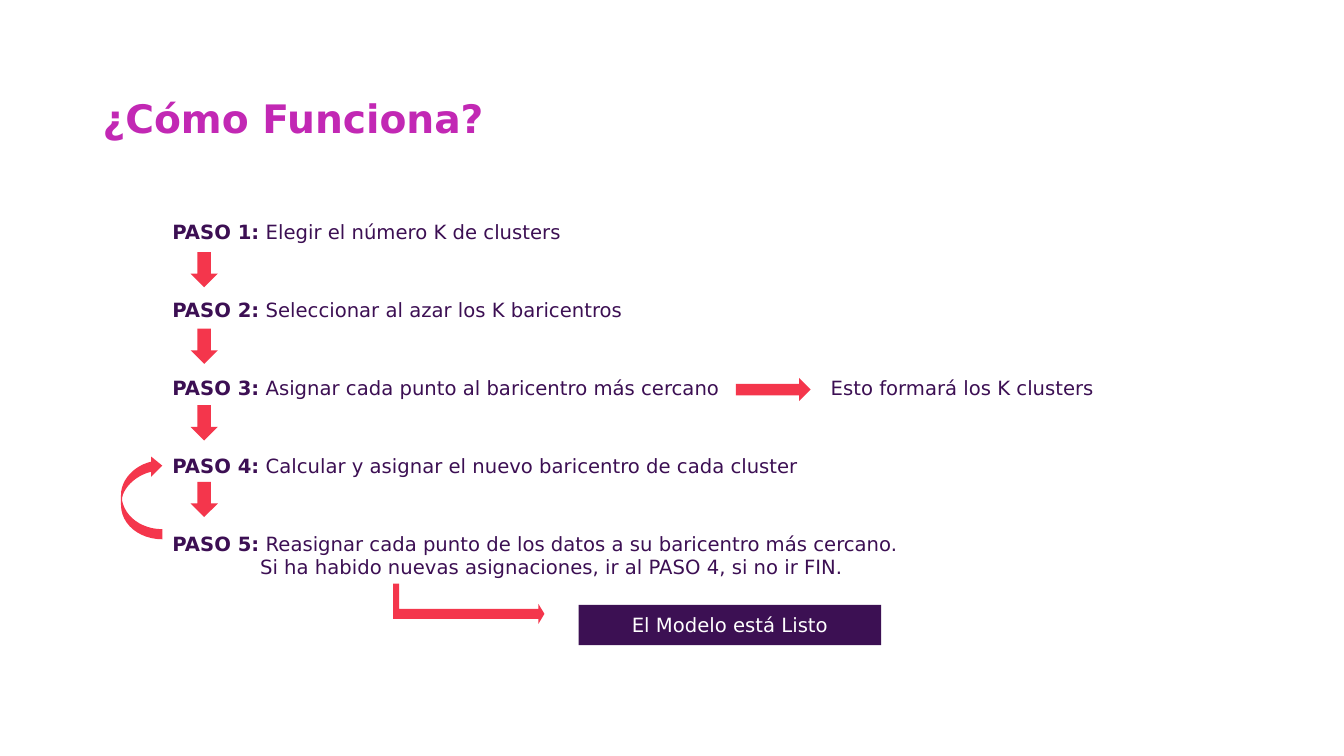
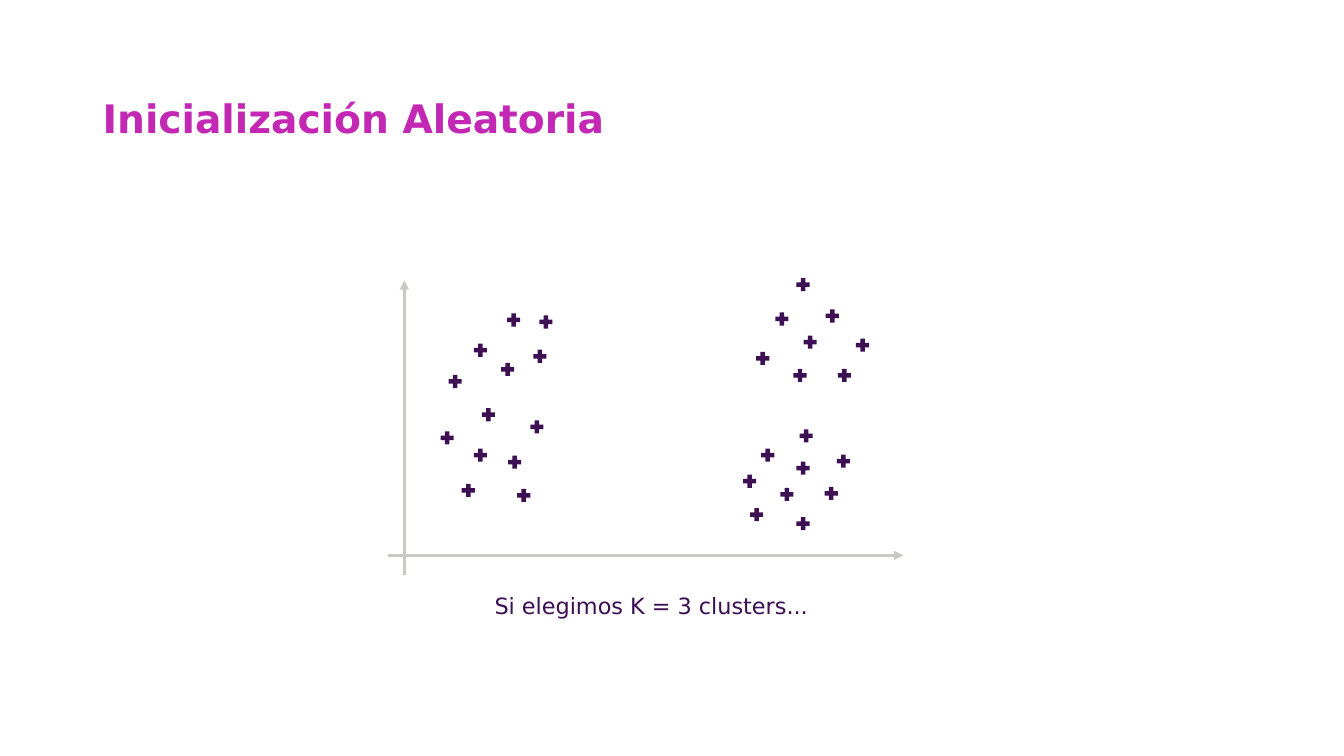
from lxml import etree
from pptx import Presentation
from pptx.dml.color import RGBColor
from pptx.enum.shapes import MSO_CONNECTOR, MSO_SHAPE
from pptx.enum.text import MSO_ANCHOR, PP_ALIGN
from pptx.oxml.ns import qn
from pptx.util import Inches, Pt

STRAIGHT = MSO_CONNECTOR.STRAIGHT
RECTANGLE, CROSS = MSO_SHAPE.RECTANGLE, MSO_SHAPE.CROSS
DOWN_ARROW, RIGHT_ARROW = MSO_SHAPE.DOWN_ARROW, MSO_SHAPE.RIGHT_ARROW
MIDDLE, TOP = MSO_ANCHOR.MIDDLE, MSO_ANCHOR.TOP
LEFT, CENTER = PP_ALIGN.LEFT, PP_ALIGN.CENTER

# Shared style
FONT = "DejaVu Sans"
MAGENTA, INK, PURPLE = "C228B4", "3C0F53", "3C1053"
RED, GREY, WHITE = "F4364C", "C8C9C7", "FFFFFF"
TITLE = {"size": Pt(28), "bold": True}
STEP = {"size": Pt(14), "bold": False}
LABEL = {"size": Pt(14), "bold": True}
CAPTION = {"size": Pt(16), "bold": False}

# Content: steps as (label, text)
STEPS_TITLE = "¿Cómo Funciona?"
STEPS = [
    ("PASO 1:", " Elegir el número K de clusters"),
    ("PASO 2:", " Seleccionar al azar los K baricentros"),
    ("PASO 3:", " Asignar cada punto al baricentro más cercano\tEsto formará los K clusters"),
    ("PASO 4:", " Calcular y asignar el nuevo baricentro de cada cluster"),
    ("PASO 5:", " Reasignar cada punto de los datos a su baricentro más cercano."),
]
DECISION = "Si ha habido nuevas asignaciones, ir al PASO 4, si no ir FIN."
READY = "El Modelo está Listo"
STEP_GAP = Pt(38.9)
STEP_TAB, DECISION_INDENT = 6.53, 0.87
ARROW_TOP, ARROW_PITCH = 2.5, 0.76

# Loop arrow: straight parts are points, curves are (start, control, control, end)
LOOP_OUTER_LOW = [(1.61, 5.35), (1.38, 5.35), (1.2, 5.2), (1.2, 5.01)]
LOOP_OUTER_HIGH = [(1.2, 4.91), (1.2, 4.76), (1.33, 4.62), (1.5, 4.58)]
LOOP_HEAD = [(1.5, 4.53), (1.61, 4.62), (1.5, 4.73)]
LOOP_INNER_HIGH = [(1.5, 4.68), (1.33, 4.72), (1.21, 4.86), (1.21, 4.96)]
LOOP_INNER_LOW = [(1.21, 4.96), (1.24, 5.13), (1.41, 5.25), (1.61, 5.25)]
EXIT_ARROW = [(3.96, 5.79), (3.96, 6.04), (5.34, 6.04), (5.34, 5.99), (5.4, 6.09),
              (5.34, 6.19), (5.34, 6.14), (3.9, 6.14), (3.9, 5.79)]

# Content: scatter of points as (left, top), by group
SCATTER_TITLE = "Inicialización Aleatoria"
SCATTER_CAPTION = "Si elegimos K = 3 clusters..."
AXES = [((4.01, 5.7), (4.01, 2.78)), ((3.85, 5.51), (8.96, 5.51))]
MARKER = 0.13
POINTS = {
    "left": [(5.26, 4.17), (4.7, 4.45), (5.13, 4.85), (4.58, 4.8), (4.37, 4.28),
             (4.78, 4.05), (5.04, 4.52), (4.45, 3.72), (4.97, 3.6), (4.7, 3.41),
             (5.29, 3.47), (5.35, 3.13), (5.03, 3.11)],
    "upper right": [(7.9, 2.76), (8.19, 3.07), (7.69, 3.1), (7.97, 3.33),
                    (8.49, 3.36), (7.87, 3.66), (8.31, 3.66), (7.5, 3.49)],
    "lower right": [(7.37, 4.71), (7.55, 4.45), (7.74, 4.84), (7.44, 5.04), (7.9, 5.13),
                    (8.18, 4.83), (7.9, 4.58), (8.3, 4.51), (7.93, 4.26)],
}


def color(value):
    return RGBColor.from_string(value)


def write(para, text, style, tint):
    span = para.add_run()
    span.text = text
    for name, value in style.items():
        setattr(span.font, name, value)
    span.font.name = FONT
    span.font.color.rgb = color(tint)


def frame_of(box, inset, anchor):
    frame = box.text_frame
    frame.word_wrap = True
    frame.vertical_anchor = anchor
    for side in ("left", "top", "right", "bottom"):
        setattr(frame, "margin_" + side, Inches(inset))
    return frame


def add_text(page, place, text, style, tint, align=LEFT, inset=0.05, anchor=TOP):
    box = page.shapes.add_textbox(*map(Inches, place))
    para = frame_of(box, inset, anchor).paragraphs[0]
    para.alignment = align
    write(para, text, style, tint)


def paint(shape, tint):
    shape.shadow.inherit = False
    shape.fill.solid()
    shape.fill.fore_color.rgb = color(tint)
    shape.line.fill.background()
    return shape


def add_preset(page, kind, place, tint):
    return paint(page.shapes.add_shape(kind, *map(Inches, place)), tint)


def add_outline(page, points, tint):
    corners = [(Inches(x), Inches(y)) for x, y in points]
    builder = page.shapes.build_freeform(*corners[0])
    builder.add_line_segments(corners[1:], close=True)
    return paint(builder.convert_to_shape(), tint)


def curve(points, pieces=12):
    """Points along a cubic curve."""
    result = []
    for index in range(pieces + 1):
        t = index / pieces
        weights = ((1 - t) ** 3, 3 * t * (1 - t) ** 2, 3 * t * t * (1 - t), t ** 3)
        result.append(tuple(sum(w * p[axis] for w, p in zip(weights, points))
                            for axis in (0, 1)))
    return result


def add_axis(page, start, end):
    axis = page.shapes.add_connector(STRAIGHT, *map(Inches, start + end))
    axis.line.color.rgb = color(GREY)
    axis.line.width = Pt(2.25)
    etree.SubElement(axis.line._get_or_add_ln(), qn("a:tailEnd"), type="triangle")
    etree.SubElement(axis._element.spPr, qn("a:effectLst"))


def add_page(deck, title):
    page = deck.slides.add_slide(deck.slide_layouts[6])
    add_text(page, (0.92, 0.71, 11.5, 0.91), title, TITLE, MAGENTA,
             inset=0.1, anchor=MIDDLE)
    return page


def add_steps(page):
    box = page.shapes.add_textbox(*map(Inches, (1.66, 2.13, 11, 3.67)))
    frame = frame_of(box, 0.05, TOP)
    for index, (label, text) in enumerate(STEPS):
        para = frame.add_paragraph() if index else frame.paragraphs[0]
        if index:
            para.space_before = STEP_GAP
        if "\t" in text:
            tabs = etree.SubElement(para._p.get_or_add_pPr(), qn("a:tabLst"))
            etree.SubElement(tabs, qn("a:tab"), pos=str(Inches(STEP_TAB)), algn="l")
        write(para, label, LABEL, INK)
        write(para, text, STEP, INK)
    para = frame.add_paragraph()
    para._p.get_or_add_pPr().set("marL", str(Inches(DECISION_INDENT)))
    write(para, DECISION, STEP, INK)


def build_steps_page(deck):
    page = add_page(deck, STEPS_TITLE)
    add_steps(page)
    # Arrows between steps
    for index in range(len(STEPS) - 1):
        add_preset(page, DOWN_ARROW,
                   (1.89, ARROW_TOP + index * ARROW_PITCH, 0.27, 0.35), RED)
    # Loop back, way out and side remark
    add_outline(page, curve(LOOP_OUTER_LOW) + curve(LOOP_OUTER_HIGH) + LOOP_HEAD
                + curve(LOOP_INNER_HIGH) + curve(LOOP_INNER_LOW), RED)
    add_outline(page, EXIT_ARROW, RED)
    add_preset(page, RIGHT_ARROW, (7.3, 3.75, 0.74, 0.23), RED)
    # Final banner
    banner = add_preset(page, RECTANGLE, (5.74, 6, 3, 0.4), PURPLE)
    para = frame_of(banner, 0.05, MIDDLE).paragraphs[0]
    para.alignment = CENTER
    write(para, READY, STEP, WHITE)


def build_scatter_page(deck):
    page = add_page(deck, SCATTER_TITLE)
    for start, end in AXES:
        add_axis(page, start, end)
    for group in POINTS.values():
        for left, top in group:
            marker = add_preset(page, CROSS, (left, top, MARKER, MARKER), PURPLE)
            marker.adjustments[0] = 0.33
    add_text(page, (4.37, 5.83, 4.18, 0.37), SCATTER_CAPTION, CAPTION, INK, CENTER)


def main():
    deck = Presentation()
    deck.slide_width, deck.slide_height = Inches(13.33), Inches(7.5)
    build_steps_page(deck)
    build_scatter_page(deck)
    deck.save("out.pptx")


if __name__ == "__main__":
    main()
